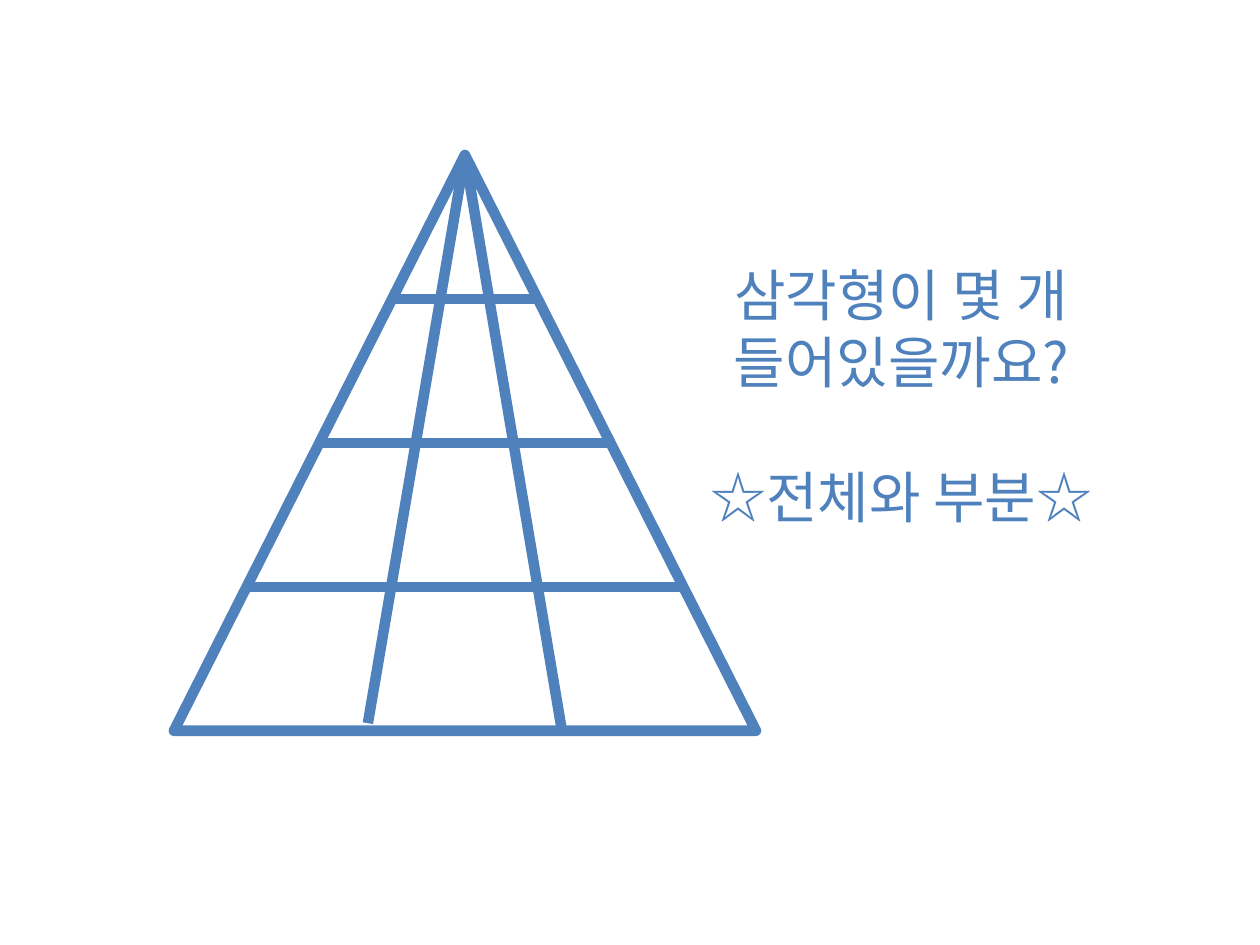
from lxml import etree
from pptx import Presentation
from pptx.dml.color import RGBColor
from pptx.enum.shapes import MSO_CONNECTOR as CONN, MSO_SHAPE as SHAPE
from pptx.enum.text import MSO_AUTO_SIZE as FIT, PP_ALIGN as ALIGN
from pptx.oxml.ns import qn
from pptx.util import Inches, Pt

# Each line of text with the space before it, in points
LINES = [("삼각형이 몇 개", 0), ("들어있을까요?", 0), ("☆전체와 부분☆", 38.5)]
TEXT_BOX = (5.5, 2.02, 3.31, 2.26)
COLORS = {"blue": "4F81BD"}
FONT = "Noto Sans CJK KR"
FONT_SIZE, LINE_WIDTH = 32, 6

LEFT, TOP, WIDTH, HEIGHT = 1.38, 1.23, 4.62, 4.57
APEX_X, BASE_Y = LEFT + WIDTH / 2, TOP + HEIGHT
ROWS, COLS = 4, 3
RAY_ENDS = [BASE_Y - 0.06, BASE_Y]
BAR_INSETS = [0, 0.01, 0.02]  # bars stop just inside the sides

BLUE = RGBColor.from_string(COLORS["blue"])


def style_line(shape):
    shape.line.color.rgb = BLUE
    shape.line.width = Pt(LINE_WIDTH)


def add_line(shapes, x1, y1, x2, y2):
    line = shapes.add_connector(CONN.STRAIGHT, *map(Inches, (x1, y1, x2, y2)))
    style_line(line)
    etree.SubElement(line._element.spPr, qn("a:effectLst"))


def add_divided_triangle(slide):
    shapes = slide.shapes.add_group_shape().shapes
    triangle = shapes.add_shape(SHAPE.ISOSCELES_TRIANGLE,
                                *map(Inches, (LEFT, TOP, WIDTH, HEIGHT)))
    triangle.shadow.inherit = False
    triangle.fill.background()
    style_line(triangle)
    for col, end_y in enumerate(RAY_ENDS, 1):
        add_line(shapes, APEX_X, TOP, LEFT + WIDTH * col / COLS, end_y)
    for row, inset in enumerate(BAR_INSETS, 1):
        half = WIDTH / 2 * row / ROWS - inset
        y = TOP + HEIGHT * row / ROWS
        add_line(shapes, APEX_X - half, y, APEX_X + half, y)


def add_question(slide):
    tf = slide.shapes.add_textbox(*map(Inches, TEXT_BOX)).text_frame
    tf.word_wrap = False
    tf.auto_size = FIT.SHAPE_TO_FIT_TEXT
    for i, (text, gap) in enumerate(LINES):
        p = tf.add_paragraph() if i else tf.paragraphs[0]
        p.alignment = ALIGN.CENTER
        p.space_before = Pt(gap)
        r = p.add_run()
        r.text = text
        r.font.size = Pt(FONT_SIZE)
        r.font.color.rgb = BLUE
        r.font.name = FONT
        etree.SubElement(r.font._element, qn("a:ea"), typeface=FONT)


def main():
    prs = Presentation()
    prs.slide_width, prs.slide_height = Inches(10), Inches(7.5)
    slide = prs.slides.add_slide(prs.slide_layouts[6])
    add_divided_triangle(slide)
    add_question(slide)
    prs.save("out.pptx")


if __name__ == "__main__":
    main()
